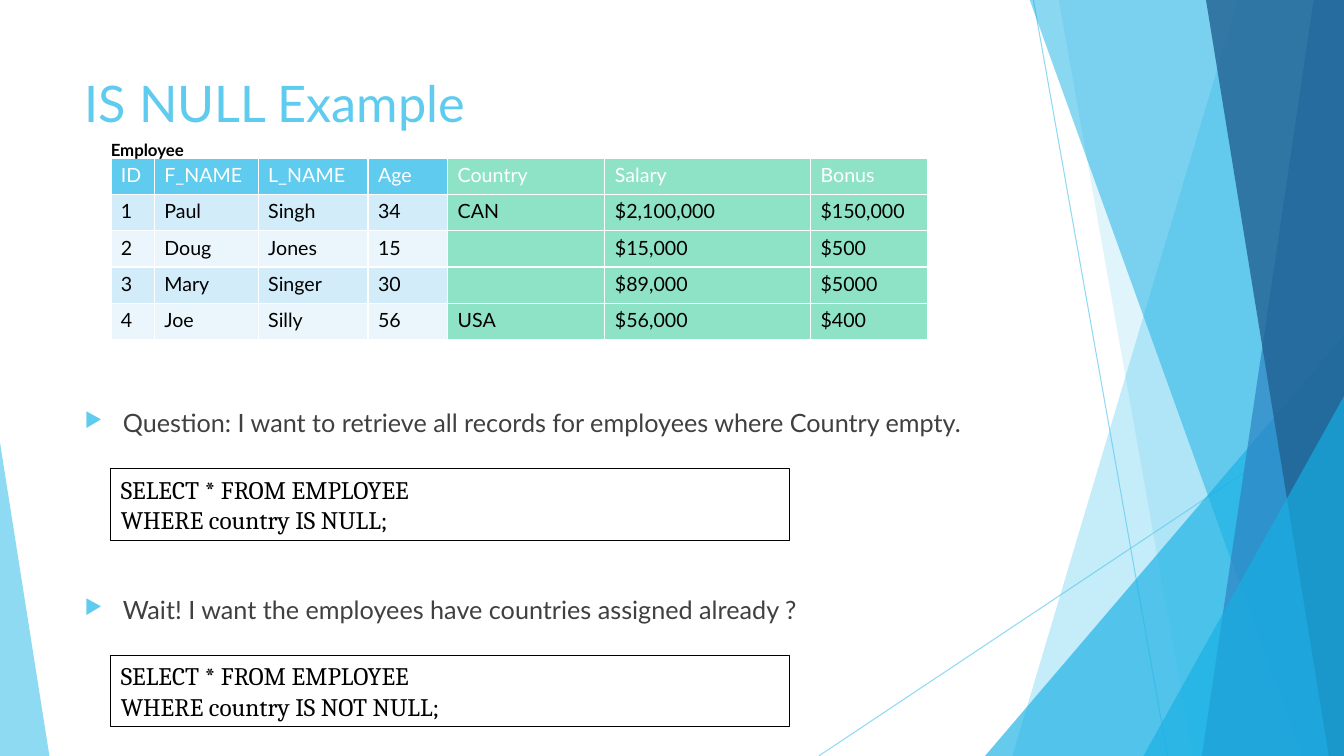
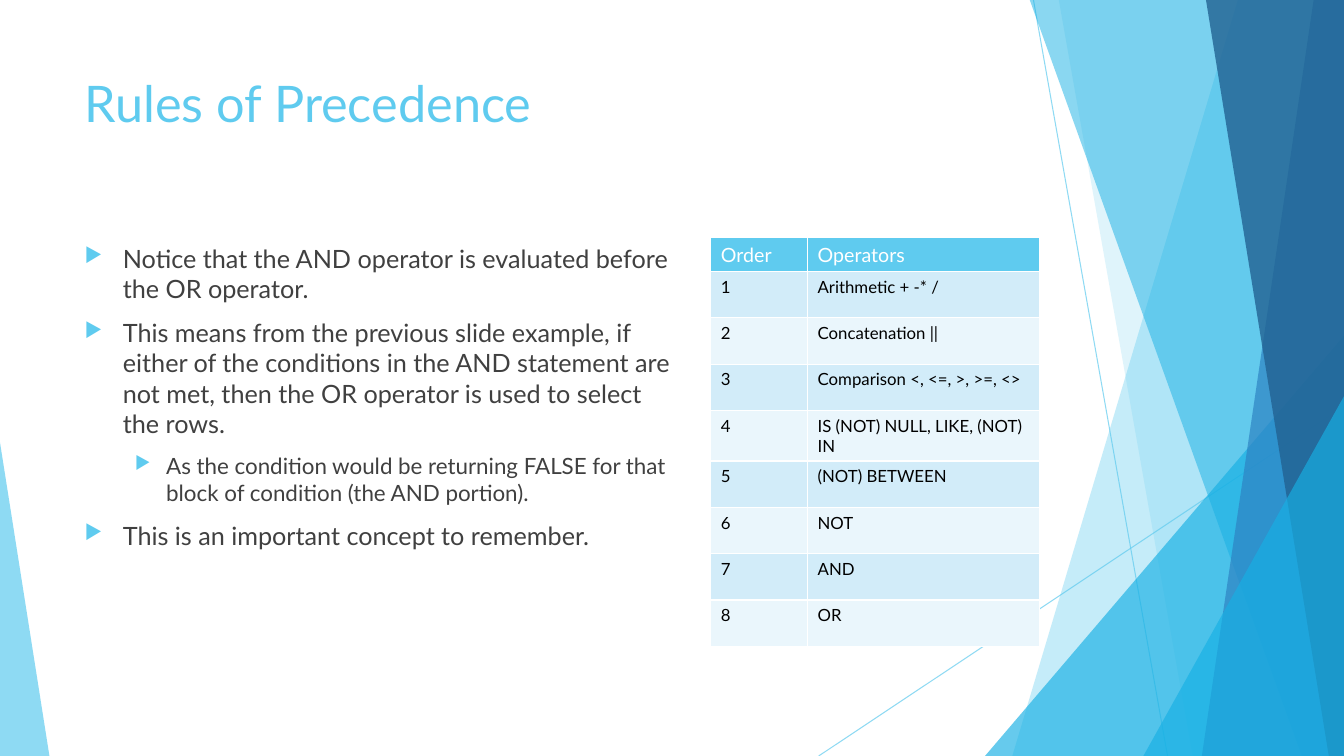
from dataclasses import dataclass
from typing import NamedTuple

import lxml.etree
import pptx
import pptx.dml.color
import pptx.enum.shapes
import pptx.enum.text
import pptx.oxml.ns
import pptx.shapes.base
import pptx.slide
import pptx.table
import pptx.text.text
import pptx.util
from pptx.util import Inches

qn = pptx.oxml.ns.qn
MSO_SHAPE = pptx.enum.shapes.MSO_SHAPE


@dataclass(frozen=True)
class Theme:
    sky: str = "5FCBEF"
    azure: str = "17B0E4"
    blue: str = "2E83C3"
    navy: str = "226292"
    mint: str = "8EE3C7"
    odd_row: str = "D2ECF9"
    even_row: str = "EAF6FC"
    body_text: str = "404040"
    black: str = "000000"
    white: str = "FFFFFF"
    font: str = "Lato"
    code_font: str = "Cambria"
    title_size: int = 36
    body_size: int = 18
    sub_size: int = 16
    table_size: int = 14
    small_size: int = 12


THEME = Theme()


class Box(NamedTuple):
    left: float
    top: float
    width: float
    height: float

    def emu(self) -> list[pptx.util.Length]:
        return [Inches(value) for value in self]


class Ray(NamedTuple):
    start: tuple[float, float]
    end: tuple[float, float]


class Band(NamedTuple):
    """Panel reaching the right slide edge, with a slanted left side."""
    top_x: float
    bottom_x: float
    color: str
    opacity: int


class Wedge(NamedTuple):
    """Right-angled triangle; apex is 0 for left and 1 for right."""
    box: Box
    apex: int
    color: str
    opacity: int


class Bullet(NamedTuple):
    text: str
    level: int = 0


class BulletStyle(NamedTuple):
    margin: float
    hanging: float
    size: int


SLIDE_WIDTH, SLIDE_HEIGHT = 13.33, 7.5
BAND_TOP = -0.01
TITLE_BOX = Box(0.74, 0.67, 9.4, 1.44)
BULLET_STYLES = (
    BulletStyle(0.38, 0.38, THEME.body_size),
    BulletStyle(0.81, 0.31, THEME.sub_size),
)
BACKDROP = (
    Ray((10.25, 0), (11.58, SLIDE_HEIGHT)),
    Ray((SLIDE_WIDTH, 4.03), (8.12, SLIDE_HEIGHT)),
    Band(12.28, 10.04, THEME.sky, 36),
    Band(10.5, 11.83, THEME.sky, 20),
    Wedge(Box(9.77, 3.33, 3.56, 4.17), 1, THEME.azure, 66),
    Band(10.21, 12.91, THEME.azure, 50),
    Band(13.03, 11.92, THEME.blue, 70),
    Band(11.96, 13.18, THEME.navy, 80),
    Wedge(Box(11.34, 3.93, 1.99, 3.57), 1, THEME.azure, 66),
    Wedge(Box(0, 4.39, 0.49, 3.11), 0, THEME.sky, 70),
)

EMPLOYEES = (
    ("ID", "F_NAME", "L_NAME", "Age", "Country", "Salary", "Bonus"),
    ("1", "Paul", "Singh", "34", "CAN", "$2,100,000", "$150,000"),
    ("2", "Doug", "Jones", "15", "", "$15,000", "$500"),
    ("3", "Mary", "Singer", "30", "", "$89,000", "$5000"),
    ("4", "Joe", "Silly", "56", "USA", "$56,000", "$400"),
)
OPERATORS = (
    "Arithmetic + -* /",
    "Concatenation ||",
    "Comparison <, <=, >, >=, <>",
    "IS (NOT) NULL, LIKE, (NOT) IN",
    "(NOT) BETWEEN",
    "NOT",
    "AND",
    "OR",
)


def rgb(color: str) -> pptx.dml.color.RGBColor:
    return pptx.dml.color.RGBColor.from_string(color)


def set_opacity(shape: pptx.shapes.base.BaseShape, percent: int) -> None:
    for color in shape.element.iter(qn("a:srgbClr")):
        lxml.etree.SubElement(color, qn("a:alpha"), val=str(percent * 1000))


def add_run(paragraph: pptx.text.text._Paragraph, text: str, size: int, color: str,
            font: str = THEME.font, bold: bool = False) -> None:
    run = paragraph.add_run()
    run.text = text
    run.font.name = font
    run.font.size = pptx.util.Pt(size)
    run.font.bold = bold
    run.font.color.rgb = rgb(color)


def add_ray(slide: pptx.slide.Slide, ray: Ray) -> pptx.shapes.base.BaseShape:
    line = slide.shapes.add_connector(
        pptx.enum.shapes.MSO_CONNECTOR.STRAIGHT,
        *(Inches(value) for value in (*ray.start, *ray.end)))
    line.line.color.rgb = rgb(THEME.sky)
    line.line.width = pptx.util.Pt(0.75)
    lxml.etree.SubElement(line.element.spPr, qn("a:effectLst"))
    set_opacity(line, 70)
    return line


def add_panel(slide: pptx.slide.Slide, panel: Band | Wedge) -> pptx.shapes.base.BaseShape:
    if isinstance(panel, Band):
        outline = slide.shapes.build_freeform(Inches(panel.top_x), Inches(BAND_TOP))
        corners = ((SLIDE_WIDTH, BAND_TOP), (SLIDE_WIDTH, SLIDE_HEIGHT),
                   (panel.bottom_x, SLIDE_HEIGHT))
        outline.add_line_segments([(Inches(x), Inches(y)) for x, y in corners], close=True)
        shape = outline.convert_to_shape()
    else:
        shape = slide.shapes.add_shape(MSO_SHAPE.ISOSCELES_TRIANGLE, *panel.box.emu())
        shape.adjustments[0] = panel.apex
    shape.shadow.inherit = False
    shape.fill.solid()
    shape.fill.fore_color.rgb = rgb(panel.color)
    shape.line.fill.background()
    set_opacity(shape, panel.opacity)
    return shape


def install_backdrop(slide: pptx.slide.Slide) -> None:
    """Draw the backdrop, then hand it to the layout that all slides share."""
    layout = slide.slide_layout
    for placeholder in list(layout.placeholders):
        if placeholder.placeholder_format.type != pptx.enum.shapes.PP_PLACEHOLDER.TITLE:
            layout.shapes.element.remove(placeholder.element)
    shapes = [add_ray(slide, part) if isinstance(part, Ray) else add_panel(slide, part)
              for part in BACKDROP]
    for shape in shapes:
        layout.shapes.element.append(shape.element)


def set_title(slide: pptx.slide.Slide, text: str) -> None:
    title = slide.shapes.title
    title.left, title.top, title.width, title.height = TITLE_BOX.emu()
    title.text_frame.vertical_anchor = pptx.enum.text.MSO_ANCHOR.TOP
    paragraph = title.text_frame.paragraphs[0]
    paragraph.alignment = pptx.enum.text.PP_ALIGN.LEFT
    add_run(paragraph, text, THEME.title_size, THEME.sky)


def add_text_frame(slide: pptx.slide.Slide, box: Box) -> pptx.text.text.TextFrame:
    frame = slide.shapes.add_textbox(*box.emu()).text_frame
    frame.word_wrap = True
    return frame


def format_bullet(paragraph: pptx.text.text._Paragraph, style: BulletStyle) -> None:
    paragraph.space_before = pptx.util.Pt(10)
    properties = paragraph._p.get_or_add_pPr()
    properties.set("marL", str(Inches(style.margin)))
    properties.set("indent", str(Inches(-style.hanging)))
    color = lxml.etree.SubElement(properties, qn("a:buClr"))
    lxml.etree.SubElement(color, qn("a:srgbClr"), val=THEME.sky)
    lxml.etree.SubElement(properties, qn("a:buSzPct"), val="80000")
    lxml.etree.SubElement(properties, qn("a:buChar"), char="▶")


def add_bullets(slide: pptx.slide.Slide, box: Box, *bullets: Bullet) -> None:
    frame = add_text_frame(slide, box)
    for index, bullet in enumerate(bullets):
        paragraph = frame.add_paragraph() if index else frame.paragraphs[0]
        paragraph.level = bullet.level
        style = BULLET_STYLES[bullet.level]
        format_bullet(paragraph, style)
        add_run(paragraph, bullet.text, style.size, THEME.body_text)


def add_code_box(slide: pptx.slide.Slide, box: Box, *lines: str) -> None:
    shape = slide.shapes.add_shape(MSO_SHAPE.RECTANGLE, *box.emu())
    shape.shadow.inherit = False
    shape.fill.background()
    shape.line.color.rgb = rgb(THEME.black)
    shape.line.width = pptx.util.Pt(0.75)
    frame = shape.text_frame
    frame.word_wrap = True
    for index, line in enumerate(lines):
        paragraph = frame.add_paragraph() if index else frame.paragraphs[0]
        paragraph.alignment = pptx.enum.text.PP_ALIGN.LEFT
        add_run(paragraph, line, THEME.body_size, THEME.black, THEME.code_font)


def fill_cell(cell: pptx.table._Cell, text: str, size: int, color: str, fill: str) -> None:
    cell.fill.solid()
    cell.fill.fore_color.rgb = rgb(fill)
    paragraph = cell.text_frame.paragraphs[0]
    if text:
        add_run(paragraph, text, size, color)
    else:
        lxml.etree.SubElement(paragraph._p, qn("a:endParaRPr"), sz=str(size * 100))


def add_grid(slide: pptx.slide.Slide, left: float, top: float, widths: tuple[float, ...],
             heights: list[float], rows: tuple[tuple[str, ...], ...], body_size: int,
             mint_from: int | None = None) -> None:
    """Add a banded table whose columns from mint_from on are mint."""
    box = Box(left, top, sum(widths), sum(heights))
    table = slide.shapes.add_table(len(rows), len(widths), *box.emu()).table
    for column, width in zip(table.columns, widths):
        column.width = Inches(width)
    for row_index, (row, height, texts) in enumerate(zip(table.rows, heights, rows)):
        row.height = Inches(height)
        if row_index == 0:
            size, color, band = THEME.table_size, THEME.white, THEME.sky
        else:
            size, color = body_size, THEME.black
            band = THEME.odd_row if row_index % 2 else THEME.even_row
        for column_index, (cell, text) in enumerate(zip(row.cells, texts)):
            is_mint = mint_from is not None and column_index >= mint_from
            fill_cell(cell, text, size, color, THEME.mint if is_mint else band)


def build_null_example(slide: pptx.slide.Slide) -> None:
    set_title(slide, "IS NULL Example")
    add_grid(slide, 1.1, 1.57, (0.43, 1.03, 1.09, 0.79, 1.56, 2.04, 1.16),
             [0.36] * len(EMPLOYEES), EMPLOYEES, THEME.table_size, mint_from=4)
    caption = add_text_frame(slide, Box(1, 1.34, 2.15, 0.3))
    add_run(caption.paragraphs[0], "Employee", THEME.small_size, THEME.black, bold=True)
    examples = (
        (3.99, "Question: I want to retrieve all records for employees where Country empty.",
         4.65, "WHERE country IS NULL;"),
        (5.85, "Wait! I want the employees have countries assigned already ?",
         6.5, "WHERE country IS NOT NULL;"),
    )
    for question_top, question, code_top, condition in examples:
        add_bullets(slide, Box(0.74, question_top, 9.4, 0.63), Bullet(question))
        add_code_box(slide, Box(1.1, code_top, 6.73, 0.71), "SELECT * FROM EMPLOYEE", condition)


def build_precedence_rules(slide: pptx.slide.Slide) -> None:
    set_title(slide, "Rules of Precedence")
    add_bullets(
        slide, Box(0.74, 2.36, 6.11, 3.58),
        Bullet("Notice that the AND operator is evaluated before the OR operator."),
        Bullet("This means from the previous slide example, if either of the conditions in the "
               "AND statement are not met, then the OR operator is used to select the rows."),
        Bullet("As the condition would be returning FALSE for that block of condition "
               "(the AND portion).", level=1),
        Bullet("This is an important concept to remember."))
    ranking = tuple((str(order), name) for order, name in enumerate(OPERATORS, start=1))
    add_grid(slide, 7.05, 2.36, (0.96, 2.3), [0.25] + [0.46] * len(ranking),
             (("Order", "Operators"), *ranking), THEME.small_size)


def main() -> None:
    presentation = pptx.Presentation()
    presentation.slide_width = Inches(SLIDE_WIDTH)
    presentation.slide_height = Inches(SLIDE_HEIGHT)
    title_only = presentation.slide_layouts.get_by_name("Title Only")
    slides = [presentation.slides.add_slide(title_only) for _ in range(2)]
    install_backdrop(slides[0])
    build_null_example(slides[0])
    build_precedence_rules(slides[1])
    presentation.save("out.pptx")


if __name__ == "__main__":
    main()
